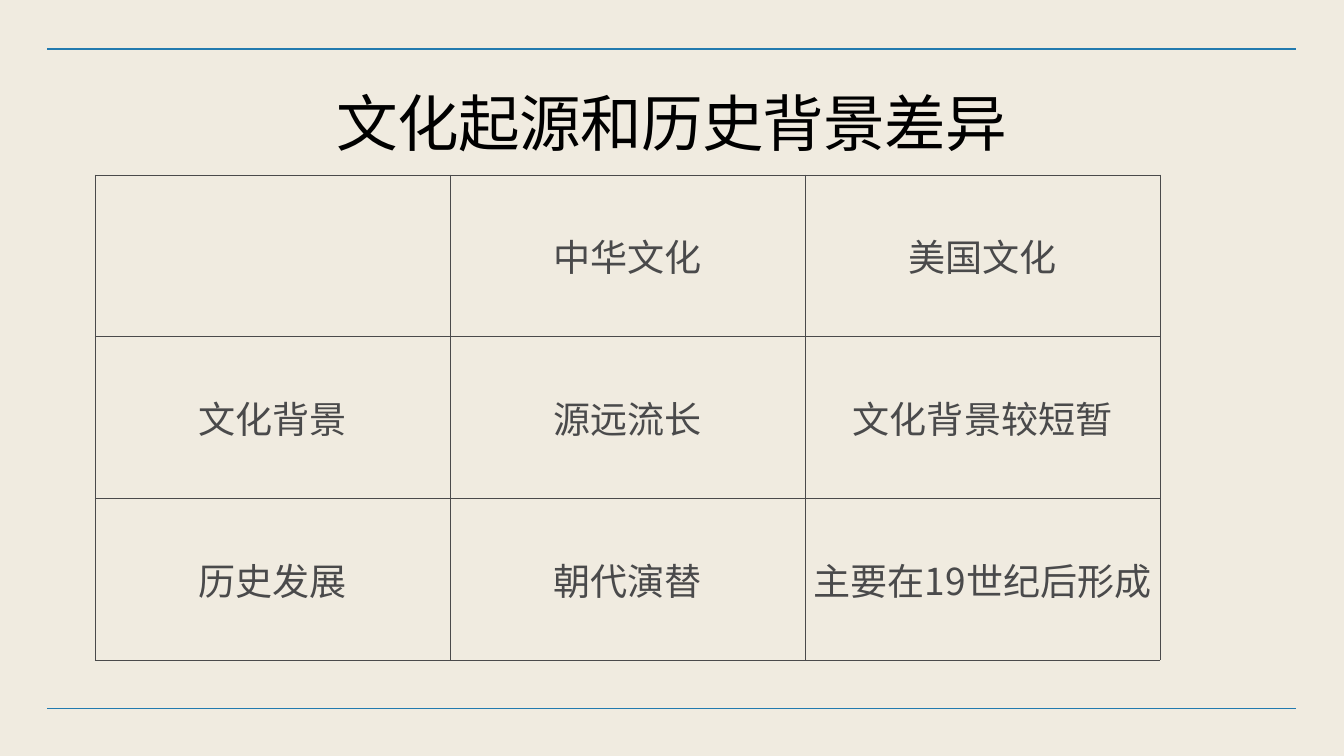
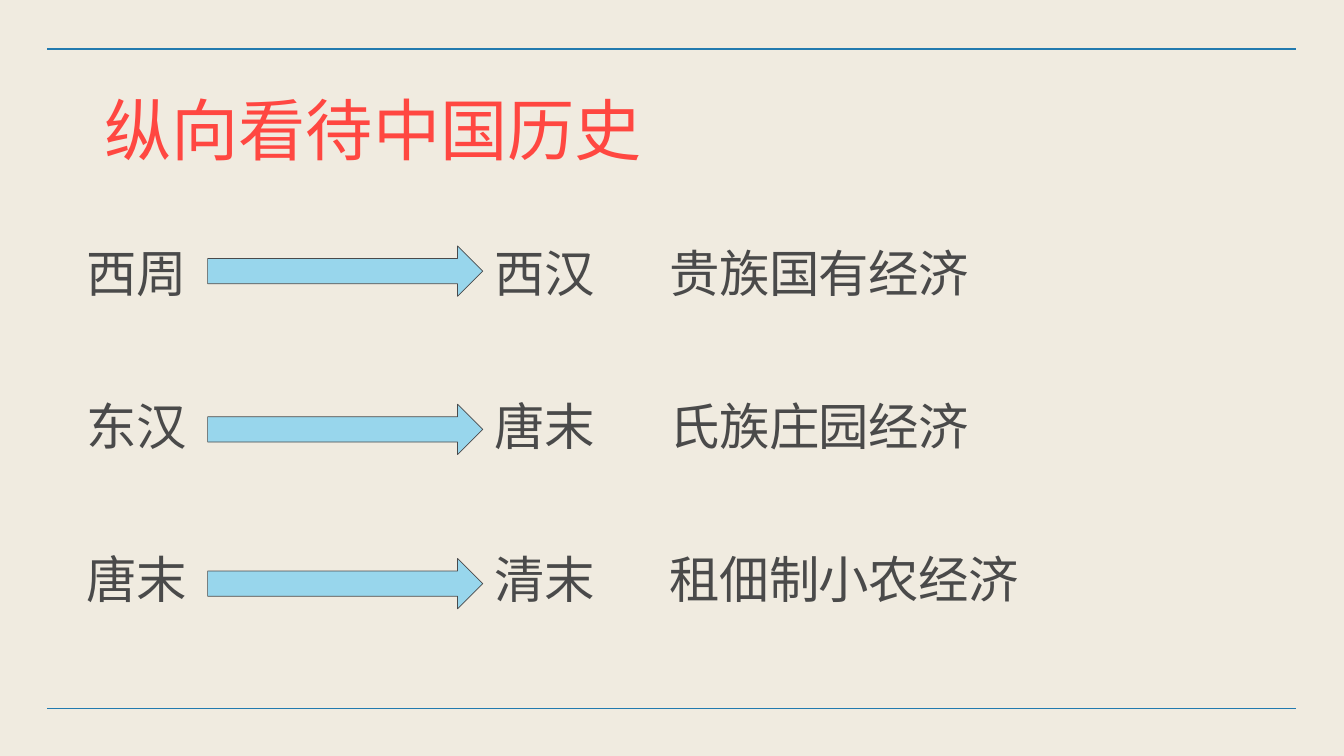
import pptx
import pptx.dml.color
import pptx.enum.shapes
import pptx.enum.text
import pptx.oxml
import pptx.oxml.ns
import pptx.util
from lxml import etree

COLOURS = {"paper": "F0EBE0", "rule": "227AAF", "ink": "4A4A4A", "edge": "4A4A4B",
           "title": "000000", "accent": "FF4741", "arrow": "98D6EC"}
RGB = {name: pptx.dml.color.RGBColor.from_string(value) for name, value in COLOURS.items()}
ALIGN = pptx.enum.text.PP_ALIGN
ANCHOR = pptx.enum.text.MSO_ANCHOR
CJK_FONT = "Noto Sans CJK SC"
INSET = pptx.util.Inches(0.06)
qn = pptx.oxml.ns.qn

deck = pptx.Presentation()
deck.slide_width = pptx.util.Inches(26.67)
deck.slide_height = pptx.util.Inches(15)
# The grid has 100 columns and 100 rows.
COLUMN = deck.slide_width / 100
ROW = deck.slide_height / 100


def area(left, top, width, height):
    """Turn grid columns and rows into slide lengths."""
    return int(left * COLUMN), int(top * ROW), int(width * COLUMN), int(height * ROW)


def write(frame, text, size, colour, font="Calibri", align=ALIGN.LEFT,
          line_spacing=None, tracking=None, inset=INSET, anchor=ANCHOR.TOP):
    """Fill a text frame with one formatted paragraph and return it."""
    settings = {"word_wrap": True, "auto_size": pptx.enum.text.MSO_AUTO_SIZE.NONE,
                "vertical_anchor": anchor, "margin_left": inset, "margin_right": inset,
                "margin_top": inset, "margin_bottom": inset}
    for name, value in settings.items():
        setattr(frame, name, value)
    para = frame.paragraphs[0]
    para.alignment = align
    para.line_spacing = line_spacing
    span = para.add_run()
    span.text = text
    span.font.size = pptx.util.Pt(size)
    span.font.color.rgb = RGB[colour]
    span.font.name = font
    properties = span._r.get_or_add_rPr()
    properties.set("lang", "zh-CN")
    etree.SubElement(properties, qn("a:ea")).set("typeface", CJK_FONT)
    if tracking:
        properties.set("spc", str(int(tracking * 100)))
    return para


# Shared background and rules, kept on the title-only layout
layout = deck.slide_layouts[5]
layout.background.fill.solid()
layout.background.fill.fore_color.rgb = RGB["paper"]

culture_page = deck.slides.add_slide(layout)
history_page = deck.slides.add_slide(layout)

for height, weight in [(6.47, 4), (93.73, 1)]:
    start_x, y, end_x, _ = area(3.52, height, 96.44, 0)
    rule = culture_page.shapes.add_connector(
        pptx.enum.shapes.MSO_CONNECTOR.STRAIGHT, start_x, y, end_x, y)
    rule.line.color.rgb = RGB["rule"]
    rule.line.width = pptx.util.Pt(weight)
    etree.SubElement(rule.element.spPr, qn("a:effectLst"))
    layout.shapes.element.append(rule.element)

# Slide 1: comparison of the two cultures
title = culture_page.shapes.title
title.left, title.top, title.width, title.height = area(7.09, 12.67, 85.83, 23.53)
write(title.text_frame, "文化起源和历史背景差异", 88, "title", align=ALIGN.CENTER,
      line_spacing=0.8, tracking=-0.9)

comparison = [["", "中华文化", "美国文化"],
              ["文化背景", "源远流长", "文化背景较短暂"],
              ["历史发展", "朝代演替", "主要在19世纪后形成"]]
table = culture_page.shapes.add_table(3, 3, *area(7.09, 23.13, 79.23, 64.2)).table
table.first_row = False
table.horz_banding = False
for row_index, texts in enumerate(comparison):
    for column_index, text in enumerate(texts):
        cell = table.cell(row_index, column_index)
        if text:
            write(cell.text_frame, text, 53, "edge", CJK_FONT, ALIGN.CENTER)
        cell.vertical_anchor = ANCHOR.MIDDLE
        for side in ("left", "right", "top", "bottom"):
            setattr(cell, "margin_" + side, INSET)
        cell_properties = cell._tc.get_or_add_tcPr()
        for tag in ("a:lnL", "a:lnR", "a:lnT", "a:lnB"):
            border = etree.SubElement(cell_properties, qn(tag), w=str(pptx.util.Pt(1)))
            paint = etree.SubElement(border, qn("a:solidFill"))
            etree.SubElement(paint, qn("a:srgbClr"), val=COLOURS["edge"])
        cell.fill.background()

# Slide 2: periods of Chinese history
title = history_page.shapes.title
title.left, title.top, title.width, title.height = area(7.39, 11.27, 53.39, 11.47)
write(title.text_frame, "纵向看待中国历史", 96, "accent",
      inset=pptx.util.Inches(0.1), anchor=ANCHOR.MIDDLE)

periods = [("西周", "西汉", "贵族国有经济", 33.13, 32.53),
           ("东汉", "唐末", "氏族庄园经济", 53.47, 53.47),
           ("唐末", "清末", "租佃制小农经济", 73.67, 73.87)]
for first, last, economy, text_top, arrow_top in periods:
    box = history_page.shapes.add_textbox(*area(6.22, text_top, 85.83, 12.13))
    para = write(box.text_frame, f"{first}\t{last}\t{economy}", 72, "ink",
                 line_spacing=0.8, tracking=-0.9)
    tabs = etree.SubElement(para._p.get_or_add_pPr(), qn("a:tabLst"))
    for stop in (30.37, 43.38):
        etree.SubElement(tabs, qn("a:tab"), pos=str(int(stop * COLUMN)), algn="l")

    arrow = history_page.shapes.add_shape(
        pptx.enum.shapes.MSO_SHAPE.RIGHT_ARROW, *area(15.45, arrow_top, 20.47, 6.67))
    arrow.shadow.inherit = False
    arrow.fill.solid()
    arrow.fill.fore_color.rgb = RGB["arrow"]
    arrow.line.color.rgb = RGB["edge"]
    arrow.line.width = pptx.util.Pt(1)

deck.save("out.pptx")
